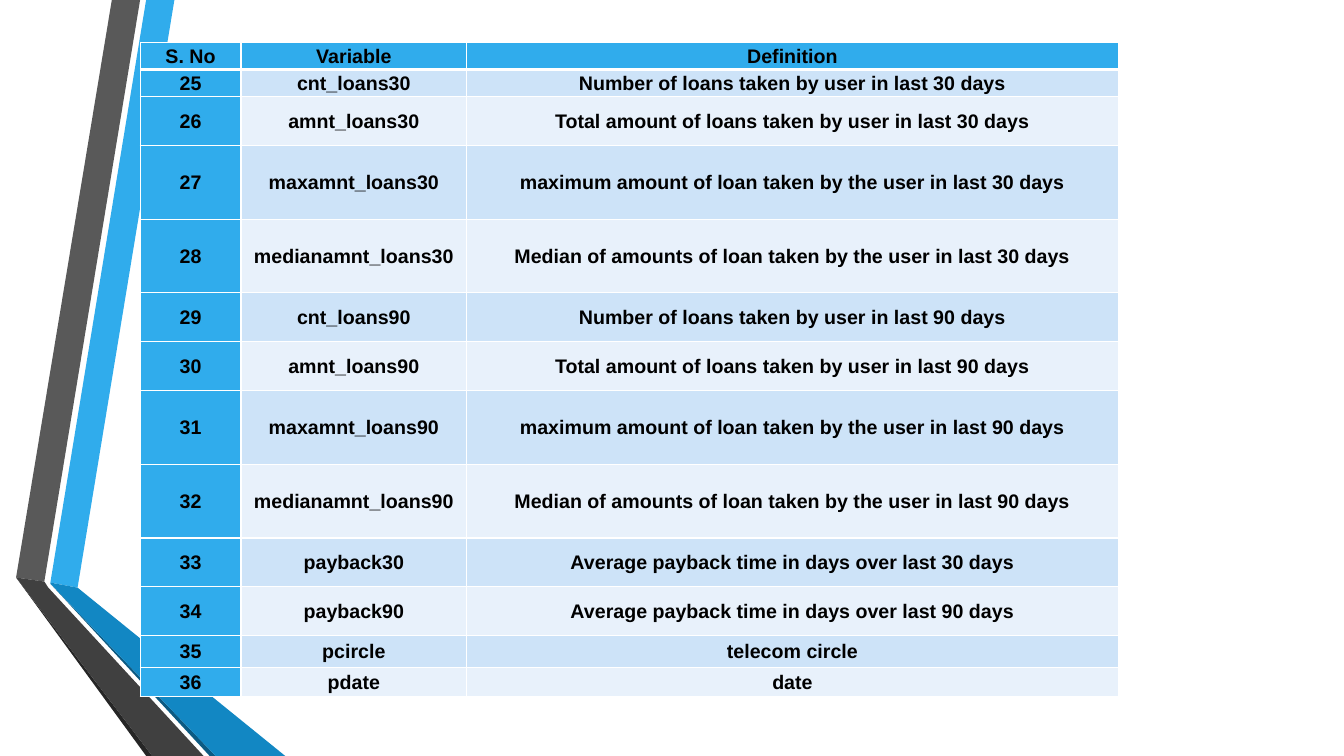
"""Build a slide that defines loan variables 25 to 36 in a table beside a folded ribbon."""
from lxml import etree
from pptx import Presentation
from pptx.dml.color import RGBColor
from pptx.enum.text import MSO_ANCHOR, PP_ALIGN
from pptx.oxml.ns import qn
from pptx.util import Inches, Pt

CENTER = PP_ALIGN.CENTER
MIDDLE = MSO_ANCHOR.MIDDLE

BLUE = RGBColor(0x30, 0xAC, 0xEC)
BLUE_FOLD = RGBColor(0x12, 0x87, 0xC3)
BLUE_EDGE = RGBColor(0x0C, 0x5A, 0x82)
GRAY = RGBColor(0x59, 0x59, 0x59)
GRAY_FOLD = RGBColor(0x40, 0x40, 0x40)
GRAY_EDGE = RGBColor(0x26, 0x26, 0x26)
BAND_DARK = RGBColor(0xCD, 0xE3, 0xF8)
BAND_LIGHT = RGBColor(0xE8, 0xF1, 0xFB)
WHITE = RGBColor(0xFF, 0xFF, 0xFF)
BLACK = RGBColor(0, 0, 0)

deck = Presentation()
deck.slide_width = Inches(13.33)
deck.slide_height = Inches(7.5)
page = deck.slides.add_slide(deck.slide_layouts[6])
page.background.fill.solid()
page.background.fill.fore_color.rgb = WHITE

GRID = deck.slide_height // 750


def write_text(cell, text, font="Arial", size=14, color=BLACK, bold=True):
    cell.vertical_anchor = MIDDLE
    cell.margin_left = cell.margin_right = cell.margin_top = GRID
    cell.margin_bottom = 0
    para = cell.text_frame.paragraphs[0]
    para.alignment = CENTER
    span = para.add_run()
    span.text = text
    span.font.name = font
    span.font.size = Pt(size)
    span.font.bold = bold
    span.font.color.rgb = color


def draw_borders(cell, **widths):
    properties = cell._tc.get_or_add_tcPr()
    for place, side in enumerate("LRTB"):
        line = etree.Element(qn(f"a:ln{side}"), w=str(Pt(widths.get(side, 1))))
        fill = etree.SubElement(line, qn("a:solidFill"))
        etree.SubElement(fill, qn("a:srgbClr"), val=str(WHITE))
        properties.insert(place, line)


RIBBONS = [
    (BLUE, [(50, 578), (77, 583), (173, 0), (145, 0)]),
    (GRAY, [(139, 0), (111, 0), (16, 573), (44, 577)]),
    (GRAY_EDGE, [(16, 573), (145, 750), (151, 750)]),
    (BLUE_EDGE, [(50, 579), (208, 750), (214, 750)]),
    (BLUE_FOLD, [(50, 579), (214, 750), (283, 750), (77, 583), (50, 578)]),
    (GRAY_FOLD, [(202, 750), (48, 583), (44, 577), (16, 573), (151, 750)]),
]
for color, corners in RIBBONS:
    outline = page.shapes.build_freeform(*corners[0], scale=GRID)
    outline.add_line_segments(corners[1:], close=True)
    ribbon = outline.convert_to_shape()
    ribbon.shadow.inherit = False
    ribbon.fill.solid()
    ribbon.fill.fore_color.rgb = color
    ribbon.line.fill.background()

LOANS = [
    ("cnt_loans", "Number of loans taken by user in last"),
    ("amnt_loans", "Total amount of loans taken by user in last"),
    ("maxamnt_loans", "maximum amount of loan taken by the user in last"),
    ("medianamnt_loans", "Median of amounts of loan taken by the user in last"),
]
PAYBACK = ("payback", "Average payback time in days over last")
PERIODS = (30, 90)

variables = [(f"{name}{days}", f"{meaning} {days} days")
             for days in PERIODS for name, meaning in LOANS]
variables += [(f"{PAYBACK[0]}{days}", f"{PAYBACK[1]} {days} days") for days in PERIODS]
variables += [("pcircle", "telecom circle"), ("pdate", "date")]
rows = [("S. No", "Variable", "Definition")]
rows += [(str(number), *variable) for number, variable in enumerate(variables, 25)]

SHORT, MEDIUM, TALL = 27, 48.6, 73
COLUMN_WIDTHS = [100, 224, 646]
ROW_HEIGHTS = [SHORT, SHORT, MEDIUM, TALL, TALL, MEDIUM, MEDIUM, TALL, TALL,
               MEDIUM, MEDIUM, 31, 29]

frame = page.shapes.add_table(
    len(rows), len(COLUMN_WIDTHS), 139 * GRID, 42 * GRID,
    sum(COLUMN_WIDTHS) * GRID, int(sum(ROW_HEIGHTS) * GRID))
table = frame.table
for column, width in zip(table.columns, COLUMN_WIDTHS):
    column.width = width * GRID
for row, height in zip(table.rows, ROW_HEIGHTS):
    row.height = int(height * GRID)

for row_index, texts in enumerate(rows):
    band = BAND_DARK if row_index % 2 else BAND_LIGHT
    for column_index, text in enumerate(texts):
        cell = table.cell(row_index, column_index)
        write_text(cell, text)
        cell.fill.solid()
        cell.fill.fore_color.rgb = BLUE if row_index == 0 or column_index == 0 else band
        draw_borders(cell, T=3 if row_index == 1 else 1, B=3 if row_index == 0 else 1)

deck.save("out.pptx")
